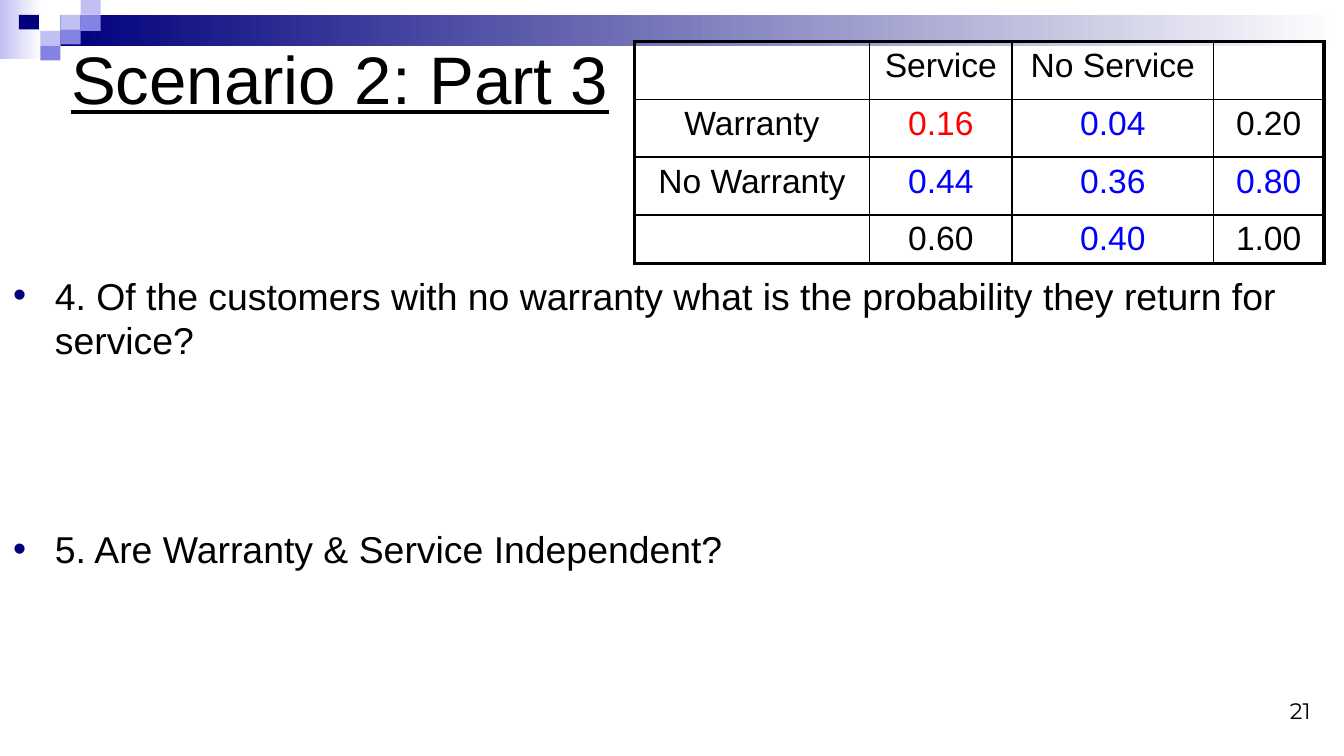
"""Build the warranty and service probability slide."""
from lxml import etree
from pptx import Presentation
from pptx.dml.color import RGBColor
from pptx.enum.shapes import MSO_SHAPE
from pptx.enum.text import MSO_ANCHOR as Anchor, PP_ALIGN as Align
from pptx.oxml.ns import qn
from pptx.util import Inches, Pt

BLACK, WHITE, RED, BLUE = "000000", "FFFFFF", "FF0000", "0000FF"
NAVY, VIOLET, LILAC = "00007D", "8383E3", "C2C0F2"

BANDS = [
    ((0, 0, 0.31, 0.44), LILAC),
    ((0.45, 0.11, 9.55, 0.23), NAVY),
]
SQUARE_WIDTH = 0.15
SQUARES = [
    (0.45, 0.11, 0.12, LILAC),
    (0.6, 0, 0.11, LILAC),
    (0.6, 0.11, 0.12, VIOLET),
    (0.3, 0.23, 0.11, LILAC),
    (0.14, 0.11, 0.11, NAVY),
    (0.45, 0.22, 0.11, VIOLET),
    (0.3, 0.34, 0.11, VIOLET),
]
TITLE = "Scenario 2: Part 3"
SLIDE_NUMBER = "21"
QUESTIONS = [
    ("4. Of the customers with no warranty what is the probability "
     "they return for service?", 4),
    ("5. Are Warranty & Service Independent?", 88),
]
TABLE_BOX = (4.72, 0.31, 5.13, 1.64)
COLUMN_WIDTHS = [1.75, 1.06, 1.5, 0.82]
ROW_HEIGHTS = [0.43, 0.43, 0.43, 0.35]
PROBABILITIES = [
    ["", "Service", "No Service", ""],
    ["Warranty", "0.16", "0.04", "0.20"],
    ["No Warranty", "0.44", "0.36", "0.80"],
    ["", "0.60", "0.40", "1.00"],
]
VALUE_COLORS = {"0.16": RED} | dict.fromkeys(
    ["0.04", "0.44", "0.36", "0.80", "0.40"], BLUE)


def rgb(color):
    return RGBColor.from_string(color)


def apply_format(target, values):
    for name, value in values.items():
        setattr(target, name, value)


def write(paragraph, text, size, color=BLACK, font="Arial", **values):
    paragraph.text = text
    for target in (paragraph, *paragraph.runs):
        apply_format(target.font, {"name": font, "size": Pt(size), **values})
        target.font.color.rgb = rgb(color)


def add_rectangle(slide, box, color, fade=False):
    shape = slide.shapes.add_shape(MSO_SHAPE.RECTANGLE, *map(Inches, box))
    shape.shadow.inherit = False
    shape.line.fill.background()
    if fade:
        shape.fill.gradient()
        shape.fill.gradient_angle = 0
        for stop, stop_color in zip(shape.fill.gradient_stops, (color, WHITE)):
            stop.color.rgb = rgb(stop_color)
    else:
        shape.fill.solid()
        shape.fill.fore_color.rgb = rgb(color)


def add_text_frame(slide, box, anchor):
    frame = slide.shapes.add_textbox(*map(Inches, box)).text_frame
    apply_format(frame, {"word_wrap": True, "vertical_anchor": anchor})
    return frame


def add_bullet(paragraph, color):
    properties = paragraph._p.get_or_add_pPr()
    properties.set("marL", str(Inches(0.31)))
    properties.set("indent", str(-Inches(0.31)))
    bullet_color = etree.SubElement(properties, qn("a:buClr"))
    etree.SubElement(bullet_color, qn("a:srgbClr"), val=color)
    etree.SubElement(properties, qn("a:buFont"), typeface="Arial")
    etree.SubElement(properties, qn("a:buChar"), char="•")


def set_borders(cell, widths):
    properties = cell._tc.get_or_add_tcPr()
    for index, (side, width) in enumerate(widths.items()):
        line = etree.Element(qn(f"a:ln{side}"), w=str(Pt(width)))
        fill = etree.SubElement(line, qn("a:solidFill"))
        etree.SubElement(fill, qn("a:srgbClr"), val=BLACK)
        properties.insert(index, line)


def add_probability_table(slide):
    last_row, last_column = len(ROW_HEIGHTS) - 1, len(COLUMN_WIDTHS) - 1
    table = slide.shapes.add_table(
        last_row + 1, last_column + 1, *map(Inches, TABLE_BOX)).table
    apply_format(table, {"first_row": False, "horz_banding": False})
    for column, width in zip(table.columns, COLUMN_WIDTHS):
        column.width = Inches(width)
    for row, height in zip(table.rows, ROW_HEIGHTS):
        row.height = Inches(height)
    for i, values in enumerate(PROBABILITIES):
        for j, value in enumerate(values):
            cell = table.cell(i, j)
            cell.fill.background()
            apply_format(cell, {"margin_top": Inches(0.04),
                                "margin_bottom": Inches(0.02)})
            paragraph = cell.text_frame.paragraphs[0]
            write(paragraph, value, 18, VALUE_COLORS.get(value, BLACK))
            paragraph.alignment = Align.CENTER
            outer = {"L": j == 0, "R": j == last_column,
                     "T": i == 0, "B": i == last_row}
            set_borders(cell, {side: 2.25 if edge else 1
                               for side, edge in outer.items()})


def main():
    presentation = Presentation()
    width = Inches(10)
    apply_format(presentation, {"slide_width": width,
                                "slide_height": width * 9 // 16})
    slide = presentation.slides.add_slide(presentation.slide_layouts[6])

    for box, color in BANDS:
        add_rectangle(slide, box, color, fade=True)
    for left, top, height, color in SQUARES:
        add_rectangle(slide, (left, top, SQUARE_WIDTH, height), color)

    number = add_text_frame(slide, (7.52, 5.06, 2.33, 0.38), Anchor.BOTTOM)
    write(number.paragraphs[0], SLIDE_NUMBER, 12, font="Montserrat")
    number.paragraphs[0].alignment = Align.RIGHT

    title = add_text_frame(slide, (0.43, 0.31, 7.19, 0.54), Anchor.MIDDLE)
    write(title.paragraphs[0], TITLE, 36, underline=True)

    add_probability_table(slide)

    body = add_text_frame(slide, (0, 1.98, 9.71, 2.39), Anchor.TOP)
    for index, (question, space) in enumerate(QUESTIONS):
        paragraph = body.add_paragraph() if index else body.paragraphs[0]
        paragraph.space_before = Pt(space)
        add_bullet(paragraph, NAVY)
        write(paragraph, question, 20)

    presentation.save("out.pptx")


if __name__ == "__main__":
    main()
